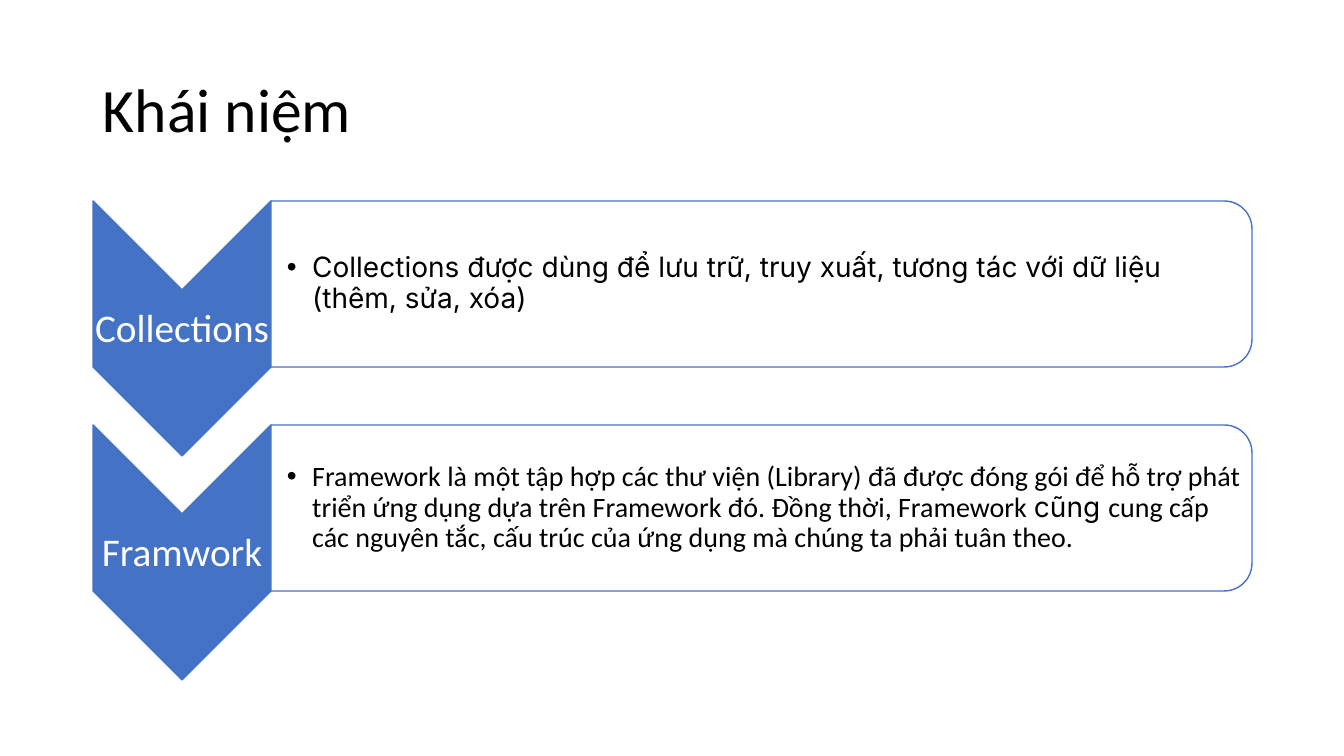
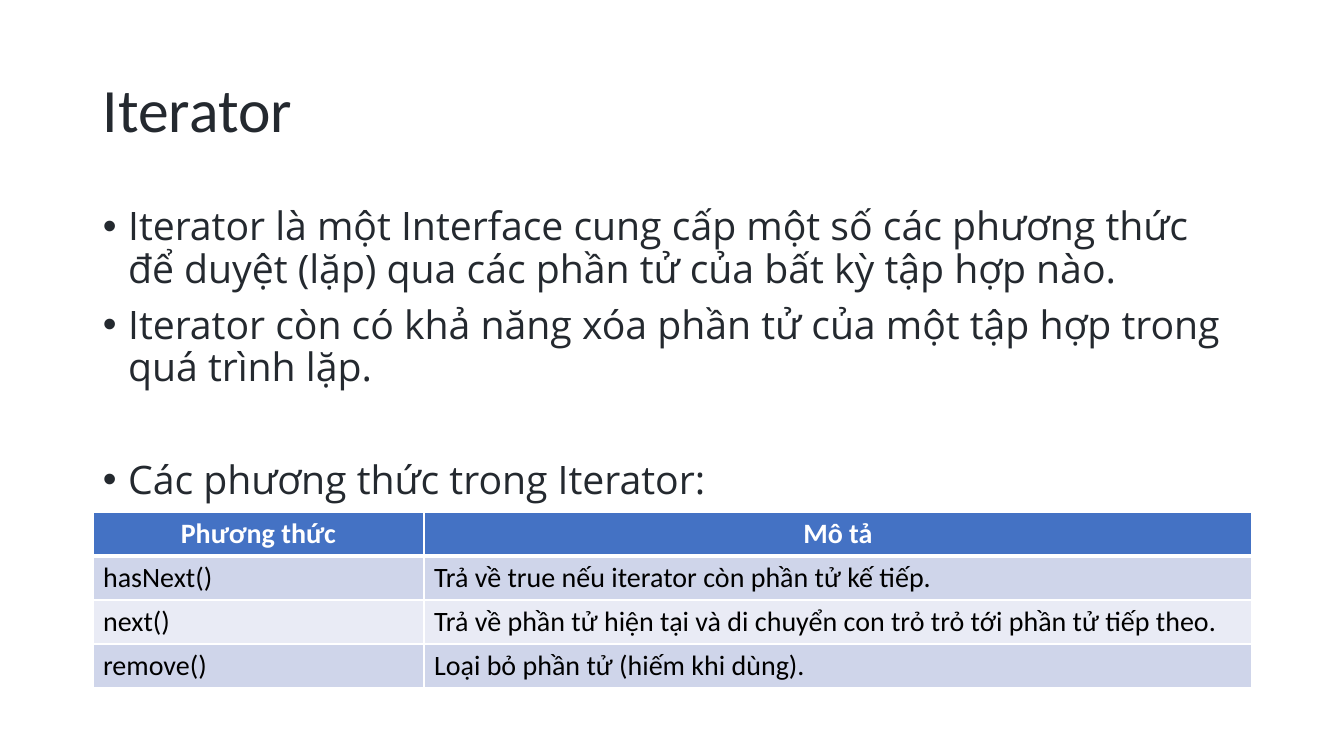
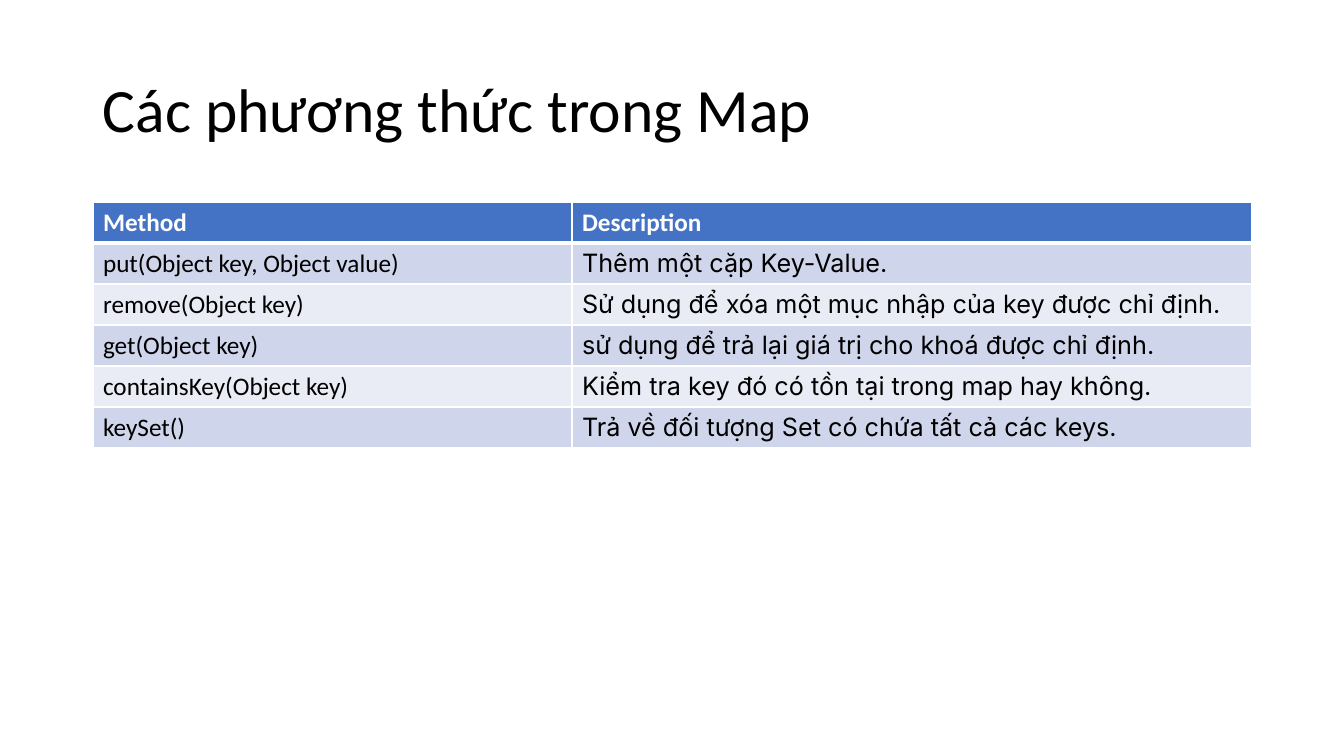
from typing import NamedTuple

from lxml import etree
from pptx import Presentation
from pptx import util as u
from pptx.dml.color import RGBColor
from pptx.enum import shapes, text
from pptx.oxml.ns import qn

SCALE = 914400 / 100.8
BLUE = RGBColor(0x44, 0x72, 0xC4)
PALE = RGBColor(0xCF, 0xD5, 0xEA)
MIST = RGBColor(0xE9, 0xEB, 0xF5)
WHITE = RGBColor(0xFF, 0xFF, 0xFF)
BLACK = RGBColor(0, 0, 0)
INK = RGBColor(0x24, 0x29, 0x2F)
SANS, INTER, OPEN = "Calibri", "Inter", "Open Sans"
LEFT, WIDE = 93, 1159
CENTER = text.PP_ALIGN.CENTER
MIDDLE = text.MSO_ANCHOR.MIDDLE


class Box(NamedTuple):
    x: float
    y: float
    w: float
    h: float


class Run(NamedTuple):
    text: str
    font: str


class Step(NamedTuple):
    label: str
    runs: list[Run]


class Grid(NamedTuple):
    top: int
    cols: tuple[int, int]
    row: int
    size: int
    fonts: tuple[str, str]
    align: text.PP_ALIGN
    cells: list[tuple[str, str]]


def px(n: float) -> int:
    return round(n * SCALE)


def place(box: Box) -> tuple[int, ...]:
    return tuple(px(n) for n in box)


def write(para, *runs: Run, size: int, color=BLACK, bold=False,
          align=None, lead=None, gap=None, bullet=False) -> None:
    para.alignment = align
    para.line_spacing = lead
    para.space_before = None if gap is None else u.Pt(gap)
    if bullet:
        props = para._p.get_or_add_pPr()
        props.set("marL", "228600")
        props.set("indent", "-228600")
        etree.SubElement(props, qn("a:buFont")).set("typeface", "Arial")
        etree.SubElement(props, qn("a:buChar")).set("char", "•")
    for part in runs:
        run = para.add_run()
        run.text = part.text
        run.font.name = part.font
        run.font.size = u.Pt(size)
        run.font.bold = bold
        run.font.color.rgb = color


def frame(slide, box: Box, anchor=text.MSO_ANCHOR.TOP, pads=None):
    area = slide.shapes.add_textbox(*place(box)).text_frame
    area.word_wrap = True
    area.vertical_anchor = anchor
    if pads:
        (area.margin_left, area.margin_top,
         area.margin_right, area.margin_bottom) = map(px, pads)
    return area


def start(deck, title: str, color: RGBColor = BLACK):
    slide = deck.slides.add_slide(deck.slide_layouts[6])
    area = frame(slide, Box(LEFT, 40, WIDE, 146), MIDDLE)
    write(area.paragraphs[0], Run(title, SANS), size=44, color=color, lead=0.9)
    return slide


def turn(slide, kind, box: Box, fill: RGBColor) -> None:
    dx = (box.w - box.h) / 2
    flat = Box(box.x + dx, box.y - dx, box.h, box.w)
    shape = slide.shapes.add_shape(kind, *place(flat))
    shape.rotation = 90
    shape.shadow.inherit = False
    shape.fill.solid()
    shape.fill.fore_color.rgb = fill
    shape.line.color.rgb = BLUE
    shape.line.width = u.Pt(1)


def draw_step(slide, step: Step, top: int) -> None:
    arrow = 178
    side = LEFT + arrow
    kinds = shapes.MSO_SHAPE
    turn(slide, kinds.CHEVRON, Box(LEFT, top, arrow, 255), BLUE)
    label = frame(slide, Box(LEFT, top + 90, arrow, 77), MIDDLE, (2, 2, 2, 2))
    write(label.paragraphs[0], Run(step.label, SANS), size=28, color=WHITE,
          align=CENTER, lead=0.9)
    turn(slide, kinds.ROUND_2_SAME_RECTANGLE,
         Box(side, top, WIDE - arrow, 166), WHITE)
    body = frame(slide, Box(side, top + 8, 973, 150), MIDDLE, (16, 1, 1, 1))
    write(body.paragraphs[0], *step.runs, size=20, lead=0.9, bullet=True)


def edge(cell, side: str, width: float) -> None:
    line = etree.SubElement(cell._tc.get_or_add_tcPr(), qn(f"a:ln{side}"),
                            w=str(u.Pt(width)))
    fill = etree.SubElement(line, qn("a:solidFill"))
    etree.SubElement(fill, qn("a:srgbClr")).set("val", str(WHITE))


def draw_grid(slide, grid: Grid) -> None:
    count = len(grid.cells)
    box = Box(LEFT, grid.top, WIDE, grid.row * count)
    table = slide.shapes.add_table(count, 2, *place(box)).table
    for col, width in zip(table.columns, grid.cols):
        col.width = px(width)
    for r, words in enumerate(grid.cells):
        table.rows[r].height = px(grid.row)
        head = r == 0
        for c, word in enumerate(words):
            cell = table.cell(r, c)
            for side in "LRTB":
                thick = (r, side) in ((0, "B"), (1, "T"))
                edge(cell, side, 3 if thick else 1)
            cell.fill.solid()
            cell.fill.fore_color.rgb = BLUE if head else PALE if r % 2 else MIST
            write(cell.text_frame.paragraphs[0],
                  Run(word, SANS if head else grid.fonts[c]), size=grid.size,
                  color=WHITE if head else BLACK, bold=head,
                  align=grid.align if head else None)


STEPS = [
    Step("Collections", [
        Run("Collections được dùng để lưu trữ, truy xuất, tương tác với "
            "dữ liệu (thêm, sửa, xóa)", INTER)]),
    Step("Framwork", [
        Run("Framework là một tập hợp các thư viện (Library) đã được đóng gói "
            "để hỗ trợ phát triển ứng dụng dựa trên Framework đó. "
            "Đồng thời, Framework ", SANS),
        Run("cũng ", INTER),
        Run("cung cấp các nguyên tắc, cấu trúc của ứng dụng mà chúng ta "
            "phải tuân theo.", SANS)]),
]
POINTS = [
    ("Iterator là một Interface cung cấp một số các phương thức để duyệt (lặp) "
     "qua các phần tử của bất kỳ tập hợp nào.", 10),
    ("Iterator còn có khả năng xóa phần tử của một tập hợp trong "
     "quá trình lặp.", 10),
    ("Các phương thức trong Iterator:", 50),
]
WALK = Grid(512, (331, 828), 44, 20, (SANS, SANS), CENTER, [
    ("Phương thức", "Mô tả"),
    ("hasNext()", "Trả về true nếu iterator còn phần tử kế tiếp."),
    ("next()", "Trả về phần tử hiện tại và di chuyển con trỏ trỏ tới "
               "phần tử tiếp theo."),
    ("remove()", "Loại bỏ phần tử (hiếm khi dùng)."),
])
MAP = Grid(202, (479, 680), 41, 18, (SANS, INTER), text.PP_ALIGN.LEFT, [
    ("Method", "Description"),
    ("put(Object key, Object value)", "Thêm một cặp Key-Value."),
    ("remove(Object key)", "Sử dụng để xóa một mục nhập của key được chỉ định."),
    ("get(Object key)", "sử dụng để trả lại giá trị cho khoá được chỉ định."),
    ("containsKey(Object key)", "Kiểm tra key đó có tồn tại trong map hay không."),
    ("keySet()", "Trả về đối tượng Set có chứa tất cả các keys."),
])


def main() -> None:
    deck = Presentation()
    deck.slide_width, deck.slide_height = px(1344), px(756)

    slide = start(deck, "Khái niệm")
    for i, step in enumerate(STEPS):
        draw_step(slide, step, 201 + 224 * i)

    slide = start(deck, "Iterator", INK)
    body = frame(slide, Box(LEFT, 202, WIDE, 480))
    for i, (words, gap) in enumerate(POINTS):
        para = body.add_paragraph() if i else body.paragraphs[0]
        write(para, Run(words, OPEN), size=28, color=INK, lead=0.9,
              gap=gap, bullet=True)
    draw_grid(slide, WALK)

    slide = start(deck, "Các phương thức trong Map")
    draw_grid(slide, MAP)

    deck.save("out.pptx")


main()
